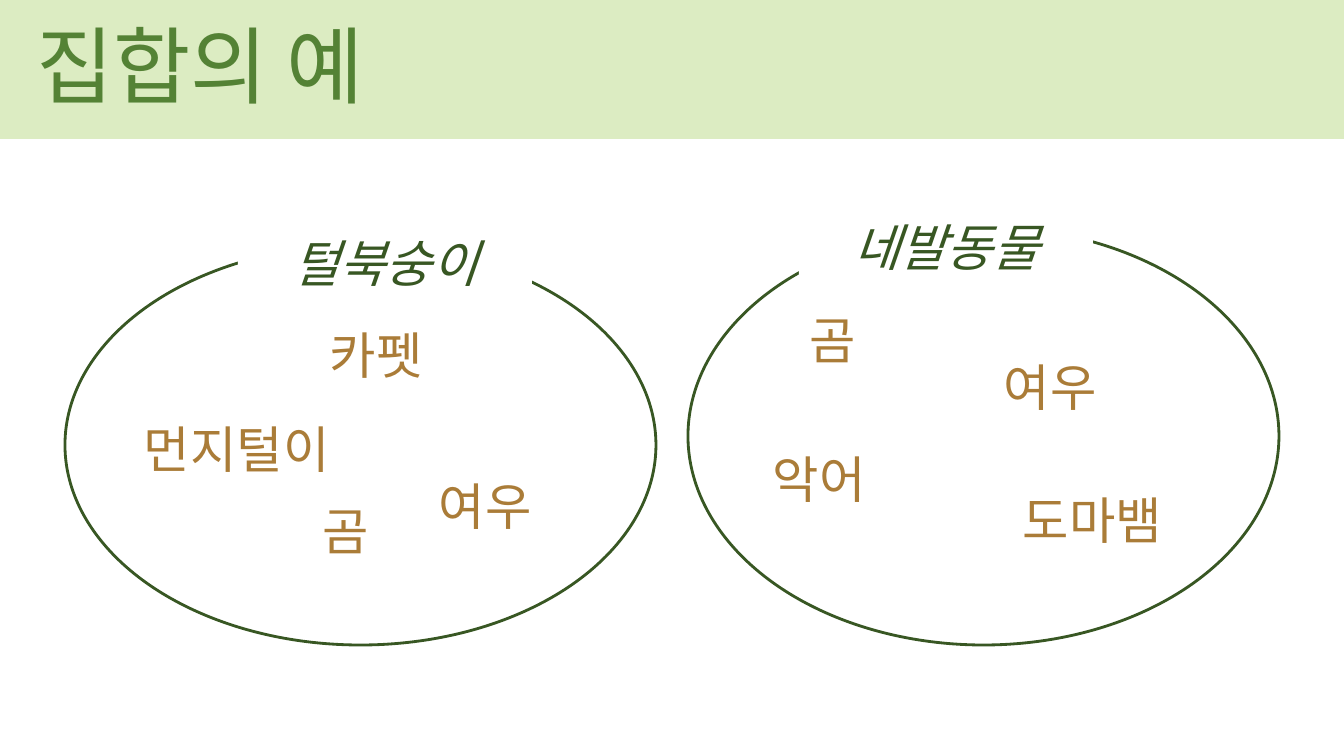
from lxml.etree import SubElement
from pptx import Presentation
from pptx.dml.color import RGBColor
from pptx.enum.shapes import MSO_SHAPE
from pptx.enum.text import MSO_ANCHOR, MSO_AUTO_SIZE, PP_ALIGN
from pptx.oxml.ns import qn
from pptx.util import Pt

WIDTH, HEIGHT = 1344, 756
EMU_PER_PX = 914400 / 100.8
FONT = "Noto Sans CJK KR"

WHITE = RGBColor(0xFF, 0xFF, 0xFF)
PALE_GREEN = RGBColor(0xDC, 0xEC, 0xC2)
GREEN = RGBColor(0x54, 0x82, 0x35)
DARK_GREEN = RGBColor(0x38, 0x57, 0x23)
OCHRE = RGBColor(0xAA, 0x7C, 0x38)

TITLE = "집합의 예"
TITLE_BOX = (26, 8, 1225, 112)
BAND_BOX = (0, 0, WIDTH, 139)
LABEL_SIZE = (294, 72)
MEMBER_HEIGHT = 72

# Each set: name, label corner, ellipse box, members as (word, left, top, width)
SETS = [
    ("털북숭이", (238, 227), (65, 245, 591, 400), [
        ("여우", 429, 470, 174),
        ("카펫", 320, 319, 138),
        ("곰", 313, 495, 85),
        ("먼지털이", 134, 413, 223),
    ]),
    ("네발동물", (799, 211), (688, 227, 591, 418), [
        ("곰", 800, 304, 81),
        ("도마뱀", 1013, 484, 172),
        ("여우", 994, 351, 172),
        ("악어", 763, 443, 172),
    ]),
]


def emu(box):
    return [round(px * EMU_PER_PX) for px in box]


def add_plain_shape(slide, preset, box, fill=None, line=None):
    shape = slide.shapes.add_shape(preset, *emu(box))
    shape.shadow.inherit = False
    if fill is None:
        shape.fill.background()
    else:
        shape.fill.solid()
        shape.fill.fore_color.rgb = fill
    if line is None:
        shape.line.fill.background()
    else:
        shape.line.color.rgb = line
        shape.line.width = Pt(2)
    return shape


def write(shape, words, size, color, align=PP_ALIGN.LEFT, italic=False):
    frame = shape.text_frame
    frame.text = words
    frame.word_wrap = True
    frame.auto_size = MSO_AUTO_SIZE.SHAPE_TO_FIT_TEXT
    frame.vertical_anchor = MSO_ANCHOR.TOP
    paragraph = frame.paragraphs[0]
    paragraph.alignment = align
    font = paragraph.runs[0].font
    font.size = Pt(size)
    font.italic = italic
    font.color.rgb = color
    font.name = FONT
    # Hangul takes its typeface from the East Asian slot
    SubElement(paragraph.runs[0]._r.get_or_add_rPr(), qn("a:ea"), typeface=FONT)


def add_set(slide, name, corner, ellipse_box, members):
    add_plain_shape(slide, MSO_SHAPE.OVAL, ellipse_box, line=DARK_GREEN)
    label = add_plain_shape(slide, MSO_SHAPE.RECTANGLE, corner + LABEL_SIZE, fill=WHITE)
    write(label, name, 36, DARK_GREEN, PP_ALIGN.CENTER, italic=True)
    for word, left, top, width in members:
        member = slide.shapes.add_textbox(*emu((left, top, width, MEMBER_HEIGHT)))
        write(member, word, 36, OCHRE)


def main():
    deck = Presentation()
    deck.slide_width, deck.slide_height = emu((WIDTH, HEIGHT))
    slide = deck.slides.add_slide(deck.slide_layouts.get_by_name("Title Only"))

    title = slide.shapes.title
    title.left, title.top, title.width, title.height = emu(TITLE_BOX)
    write(title, TITLE, 60, GREEN)
    band = add_plain_shape(slide, MSO_SHAPE.RECTANGLE, BAND_BOX, fill=PALE_GREEN)
    title._element.addprevious(band._element)  # the band lies behind the title

    for entry in SETS:
        add_set(slide, *entry)
    deck.save("out.pptx")


if __name__ == "__main__":
    main()
